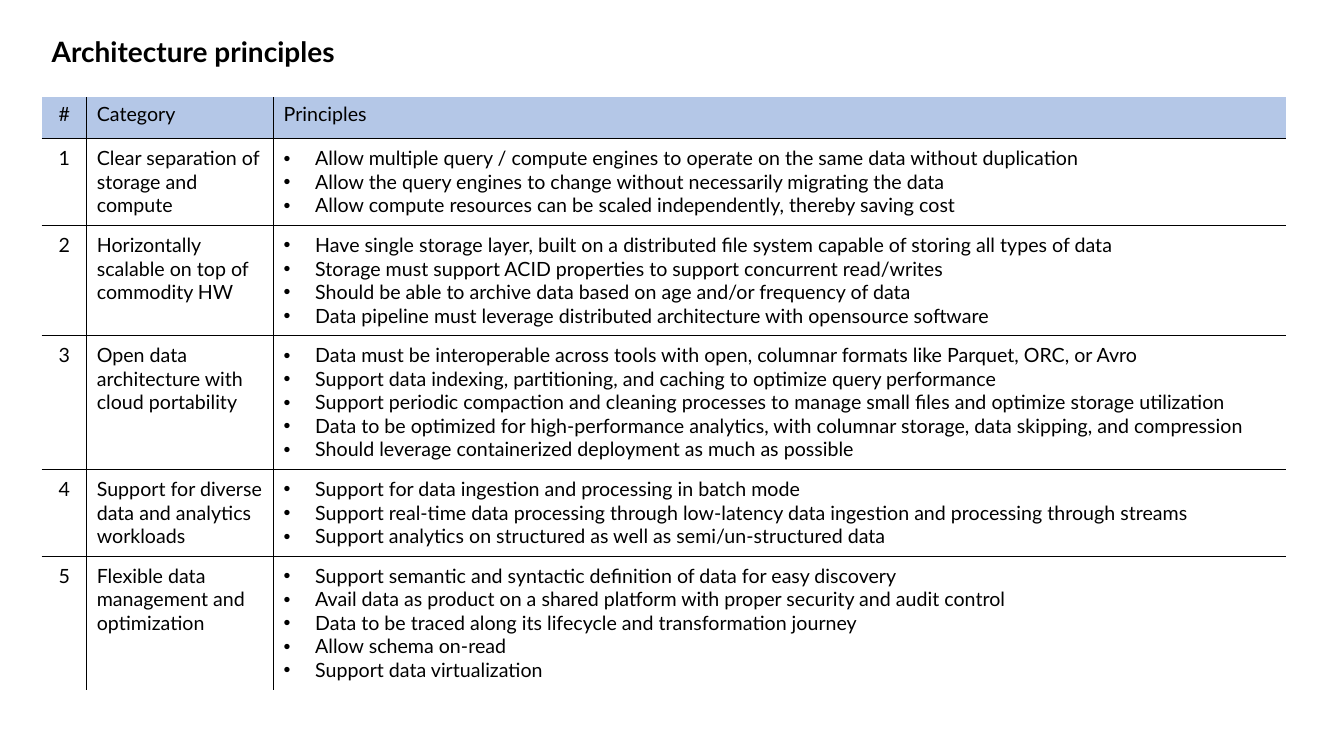
from lxml.etree import SubElement
from pptx import Presentation
from pptx.dml.color import RGBColor
from pptx.enum.text import MSO_ANCHOR, PP_ALIGN
from pptx.oxml.ns import qn
from pptx.util import Pt

COLORS = {"text": "000000", "line": "000000", "header": "B4C7E7"}
FONT = "Lato"
INDENT = Pt(22.5)
HEADINGS = ["#", "Category", "Principles"]
PRINCIPLES = [
    ("Clear separation of storage and compute", [
        "Allow multiple query / compute engines to operate on the same data without duplication",
        "Allow the query engines to change without necessarily migrating the data",
        "Allow compute resources can be scaled independently, thereby saving cost",
    ]),
    ("Horizontally scalable on top of commodity HW", [
        "Have single storage layer, built on a distributed file system capable of storing all types of data",
        "Storage must support ACID properties to support concurrent read/writes",
        "Should be able to archive data based on age and/or frequency of data",
        "Data pipeline must leverage distributed architecture with opensource software",
    ]),
    ("Open data architecture with cloud portability", [
        "Data must be interoperable across tools with open, columnar formats like Parquet, ORC, or Avro",
        "Support data indexing, partitioning, and caching to optimize query performance",
        "Support periodic compaction and cleaning processes to manage small files and optimize storage utilization",
        "Data to be optimized for high-performance analytics, with columnar storage, data skipping, and compression",
        "Should leverage containerized deployment as much as possible",
    ]),
    ("Support for diverse data and analytics workloads", [
        "Support for data ingestion and processing in batch mode",
        "Support real-time data processing through low-latency data ingestion and processing through streams",
        "Support analytics on structured as well as semi/un-structured data",
    ]),
    ("Flexible data management and optimization", [
        "Support semantic and syntactic definition of data for easy discovery",
        "Avail data as product on a shared platform with proper security and audit control",
        "Data to be traced along its lifecycle and transformation journey",
        "Allow schema on-read",
        "Support data virtualization",
    ]),
]


def write(tf, lines, size=14, bold=False, align=PP_ALIGN.LEFT, spacing=None, bullet=False):
    for i, line in enumerate(lines):
        p = tf.paragraphs[0] if i == 0 else tf.add_paragraph()
        p.alignment = align
        if spacing:
            p.line_spacing = spacing
        if bullet:
            pPr = p._p.get_or_add_pPr()
            pPr.set("marL", str(INDENT))
            pPr.set("indent", str(-INDENT))
            SubElement(pPr, qn("a:buFont"), typeface="Arial")
            SubElement(pPr, qn("a:buChar"), char="•")
        r = p.add_run()
        r.text = line
        r.font.name = FONT
        r.font.size = Pt(size)
        r.font.bold = bold
        r.font.color.rgb = RGBColor.from_string(COLORS["text"])


def set_borders(cell, **sides):
    tcPr = cell._tc.get_or_add_tcPr()
    for side, visible in sides.items():
        ln = SubElement(tcPr, qn(f"a:ln{side}"), w=str(Pt(1)))
        if visible:
            fill = SubElement(ln, qn("a:solidFill"))
            SubElement(fill, qn("a:srgbClr"), val=COLORS["line"])
        else:
            SubElement(ln, qn("a:noFill"))


prs = Presentation()
prs.slide_width, prs.slide_height = Pt(960), Pt(540)
s = prs.slides.add_slide(prs.slide_layouts[6])

title = s.shapes.add_textbox(Pt(29.8), Pt(20), Pt(888.5), Pt(36))
tf = title.text_frame
tf.word_wrap = True
tf.vertical_anchor = MSO_ANCHOR.MIDDLE
write(tf, ["Architecture principles"], size=20, bold=True, spacing=0.9)

rows = [[[heading] for heading in HEADINGS]]
rows += [[[str(n)], [category], items] for n, (category, items) in enumerate(PRINCIPLES, 1)]
heights = [29.5] + [11.2 + 16.9 * len(items) for _, items in PRINCIPLES]
widths = [32.2, 133.5, 722.8]

frame = s.shapes.add_table(len(rows), len(widths), Pt(29.8), Pt(69.6), Pt(sum(widths)), Pt(sum(heights)))
table = frame.table
table.horz_banding = False
for column, width in zip(table.columns, widths):
    column.width = Pt(width)

for i, row in enumerate(rows):
    table.rows[i].height = Pt(heights[i])
    for j, lines in enumerate(row):
        cell = table.cell(i, j)
        set_borders(cell, L=j > 0, R=j < len(widths) - 1, T=i > 0, B=i < len(rows) - 1)
        if i == 0:
            cell.fill.solid()
            cell.fill.fore_color.rgb = RGBColor.from_string(COLORS["header"])
        else:
            cell.fill.background()
            cell.margin_top = cell.margin_bottom = Pt(5.6)
        write(cell.text_frame, lines, align=PP_ALIGN.LEFT if j else PP_ALIGN.CENTER,
              bullet=i > 0 and j == 2)

prs.save("out.pptx")
